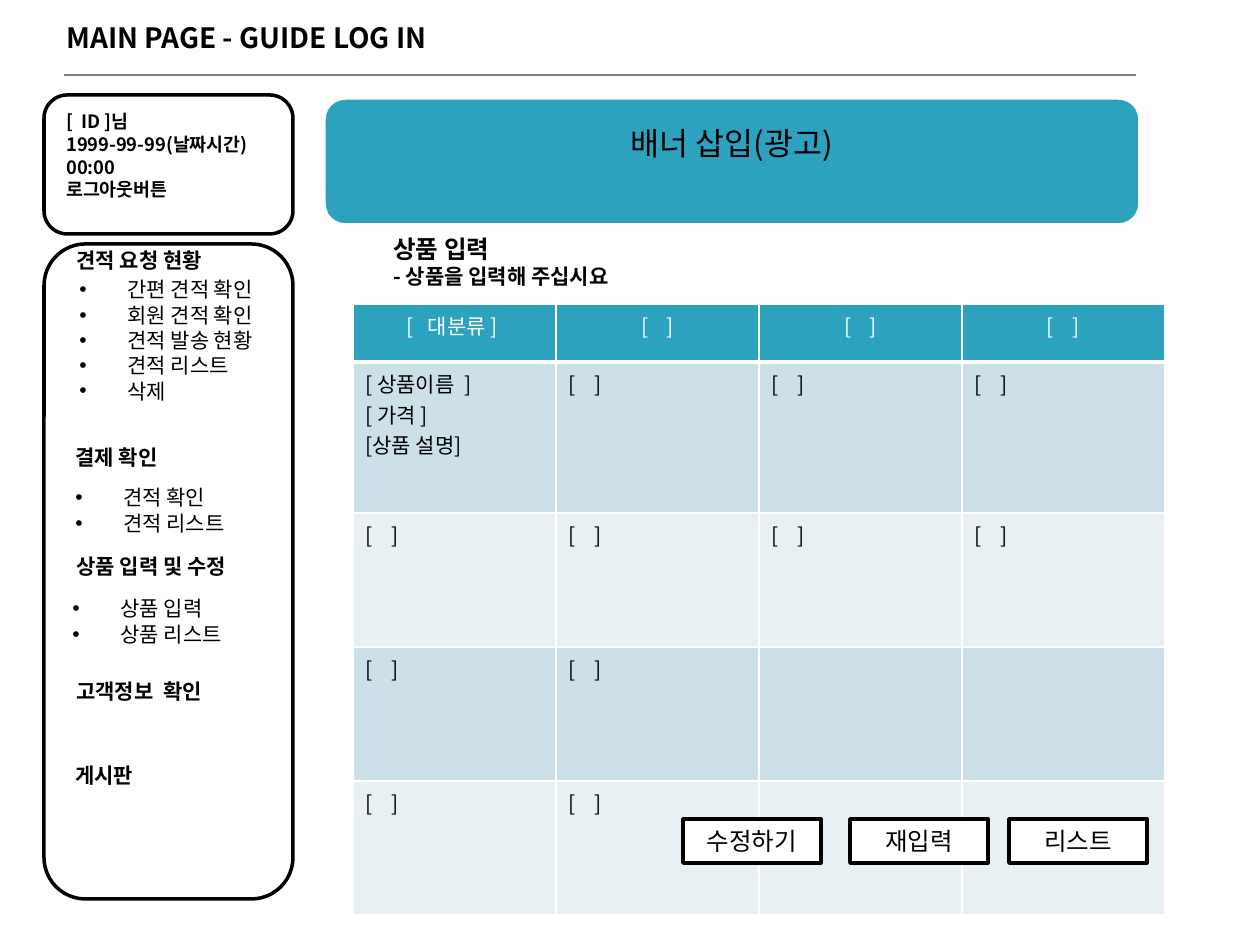
"""Build the guide log-in main page wireframe slide."""
import pptx
import pptx.util
import pptx.dml.color
import pptx.enum.shapes
import pptx.enum.text
import pptx.oxml.ns
import lxml.etree

PX = 914400 // 126
FONT = "Noto Sans CJK KR"
COLORS = {"ink": "000000", "paper": "FFFFFF", "teal": "2DA2BF",
          "band": "CDE0E8", "pale": "E8F0F4", "rule": "808080"}
SHAPES = pptx.enum.shapes.MSO_SHAPE
CENTER = pptx.enum.text.PP_ALIGN.CENTER

PANELS = [(44, 244, 249, 655), (44, 95, 249, 139)]
TITLE = ("MAIN PAGE - GUIDE LOG IN", (54, 20, 525, 76))
ACCOUNT = (["[\u00a0 ID ]님", "1999-99-99(날짜시간)", "00:00", "로그아웃버튼"],
           (54, 108, 222, 140))
MENU_HEADINGS = [("견적 요청 현황", 64, 246), ("결제 확인", 63, 443),
                 ("상품 입력 및 수정", 64, 552), ("고객정보\u00a0 확인", 64, 677),
                 ("게시판", 63, 761)]
MENU_LISTS = [
    (["간편 견적 확인", "회원 견적 확인", "견적 발송 현황", "견적 리스트", "삭제"], 67, 275),
    (["견적 확인", "견적 리스트"], 63, 483),
    (["상품 입력", "상품\u00a0리스트"], 60, 594),
]
PRODUCT_HEADING = [("상품\u00a0입력", 14), ("-\u00a0상품을\u00a0입력해\u00a0주십시요", 12)]
SLOT = "[\u00a0 \u00a0 ]"
PRODUCTS = [
    ["[\u00a0\u00a0 대분류 ]\u00a0", SLOT, SLOT, SLOT],
    ["[\u00a0상품이름\u00a0 ]\n[\u00a0가격\u00a0]\n[상품 설명]", SLOT, SLOT, SLOT],
    [SLOT] * 4,
    [SLOT, SLOT, "", ""],
    [SLOT, SLOT, "", ""],
]
ROW_HEIGHTS = [58, 151, 134, 134, 134]
COLUMN_WIDTH = 203
BUTTONS = [("수정하기", 683), ("재입력", 850), ("리스트", 1009)]
BANNER = ("배너 삽입(광고)", (324, 98, 816, 127))

deck = pptx.Presentation()
deck.slide_width, deck.slide_height = 1260 * PX, 945 * PX
slide = deck.slides.add_slide(deck.slide_layouts[6])


def rgb(name):
    return pptx.dml.color.RGBColor.from_string(COLORS[name])


def emu(box):
    return [value * PX for value in box]


def child(parent, tag, **attributes):
    return lxml.etree.SubElement(parent, pptx.oxml.ns.qn(tag), attributes)


def add_run(paragraph, words, size, bold=False, color="ink"):
    run = paragraph.add_run()
    run.text = words
    run.font.size = pptx.util.Pt(size)
    run.font.bold = bold
    run.font.color.rgb = rgb(color)
    run.font.name = FONT
    child(run.font._element, "a:ea", typeface=FONT)


def paragraphs(frame, count):
    return [frame.paragraphs[0]] + [frame.add_paragraph() for _ in range(count - 1)]


def add_text(lines, box, bold=False, bullet=False):
    frame = slide.shapes.add_textbox(*emu(box)).text_frame
    frame.word_wrap = True
    for paragraph, (words, size) in zip(paragraphs(frame, len(lines)), lines):
        paragraph.line_spacing = 0.83
        paragraph.space_before = pptx.util.Pt(2.5)
        if bullet:
            props = paragraph._p.get_or_add_pPr()
            props.set("marL", str(48 * PX))
            props.set("indent", str(-48 * PX))
            child(props, "a:buFont", typeface="Arial")
            child(props, "a:buChar", char="•")
        add_run(paragraph, words, size, bold)


def add_box(preset, box, fill="paper", line="ink", words="", size=14):
    shape = slide.shapes.add_shape(preset, *emu(box))
    shape.shadow.inherit = False
    shape.fill.solid()
    shape.fill.fore_color.rgb = rgb(fill)
    shape.line.color.rgb = rgb(line)
    shape.line.width = pptx.util.Pt(2)
    if words:
        paragraph = shape.text_frame.paragraphs[0]
        paragraph.alignment = CENTER
        add_run(paragraph, words, size)
    return shape


def add_borders(cell, bottom):
    props = cell._tc.get_or_add_tcPr()
    for place, (side, points) in enumerate(zip("LRTB", (1, 1, 1, bottom))):
        edge = child(props, "a:ln" + side, w=str(int(pptx.util.Pt(points))))
        child(child(edge, "a:solidFill"), "a:srgbClr", val=COLORS["paper"])
        props.insert(place, edge)


for panel in PANELS:
    add_box(SHAPES.ROUNDED_RECTANGLE, panel)

add_text([(words, 10.5) for words in ACCOUNT[0]], ACCOUNT[1], bold=True)
for words, left, top in MENU_HEADINGS:
    add_text([(words, 12)], (left, top, 229, 38), bold=True)
for entries, left, top in MENU_LISTS:
    add_text([(words, 12) for words in entries], (left, top, 232, 81), bullet=True)
add_text(PRODUCT_HEADING, (381, 233, 572, 38), bold=True)
add_text([(TITLE[0], 16)], TITLE[1], bold=True)

title_rule = slide.shapes.add_connector(
    pptx.enum.shapes.MSO_CONNECTOR.STRAIGHT, *emu((64, 75, 1136, 75)))
title_rule.line.color.rgb = rgb("rule")
title_rule.line.width = pptx.util.Pt(0.75)
child(title_rule._element.spPr, "a:effectLst")

products = slide.shapes.add_table(
    len(PRODUCTS), 4, *emu((353, 304, 4 * COLUMN_WIDTH, sum(ROW_HEIGHTS)))).table
for column in products.columns:
    column.width = COLUMN_WIDTH * PX
for row, entries in enumerate(PRODUCTS):
    products.rows[row].height = ROW_HEIGHTS[row] * PX
    header = row == 0
    for column, words in enumerate(entries):
        cell = products.cell(row, column)
        cell.fill.solid()
        cell.fill.fore_color.rgb = rgb("teal" if header else "band" if row % 2 else "pale")
        add_borders(cell, 3 if header else 1)
        if not words:
            continue
        lines = words.split("\n")
        for paragraph, line in zip(paragraphs(cell.text_frame, len(lines)), lines):
            if header:
                paragraph.alignment = CENTER
            add_run(paragraph, line, 12, color="paper" if header else "ink")

for words, left in BUTTONS:
    add_box(SHAPES.RECTANGLE, (left, 819, 138, 44), words=words)

banner = add_box(SHAPES.ROUNDED_RECTANGLE, BANNER[1], "teal", "paper", BANNER[0], 18)
banner.text_frame.margin_bottom = 44 * PX

deck.save("out.pptx")
